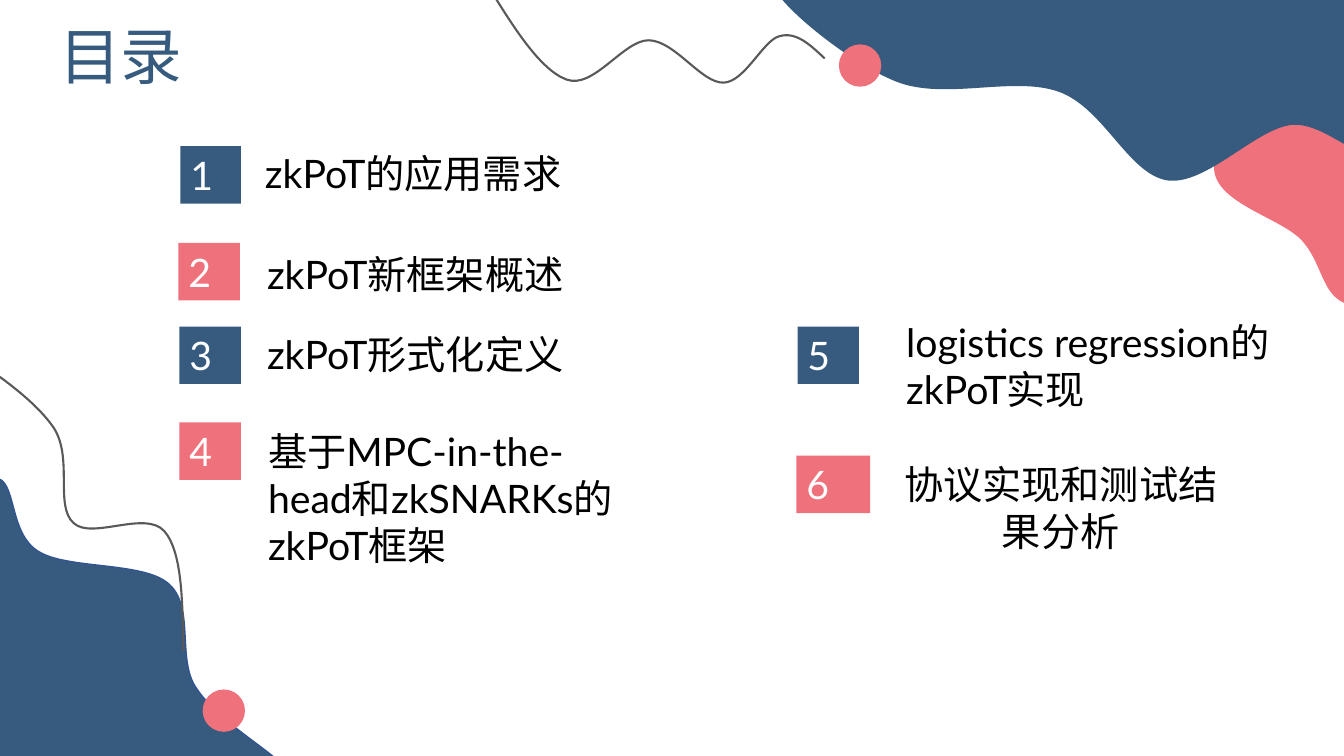
from math import cos, radians, sin

from lxml import etree
from pptx import Presentation
from pptx.dml.color import RGBColor
from pptx.enum.shapes import MSO_SHAPE
from pptx.enum.text import MSO_ANCHOR, PP_ALIGN
from pptx.oxml.ns import qn
from pptx.util import Cm, Pt

RECT, OVAL = MSO_SHAPE.RECTANGLE, MSO_SHAPE.OVAL
LEFT, MID, JUST = PP_ALIGN.LEFT, PP_ALIGN.CENTER, PP_ALIGN.JUSTIFY
TOP, CENTER = MSO_ANCHOR.TOP, MSO_ANCHOR.MIDDLE
FONT = "Lato"
UNIT = 2.54  # one layout unit in centimetres
STEPS = 40  # samples per curve when measuring its extent
DOT = 0.42
HUES = {"navy": "365B7E", "rose": "EE717B", "edge": "325491",
        "gray": "595959", "black": "000000", "white": "FFFFFF"}

# Each outline is a start point, then three points for each curve.
PINK = [(8.71, 0.41), (8.28, 0.41), (8.01, 1.36), (8.04, 1.69),
        (8.07, 2.02), (8.68, 2.16), (8.9, 2.38),
        (9.11, 2.6), (9.1, 2.91), (9.33, 3.01),
        (9.56, 3.11), (10.09, 3.22), (10.3, 3.01),
        (10.51, 2.79), (10.85, 2.16), (10.59, 1.72),
        (10.33, 1.29), (9.13, 0.42), (8.71, 0.41)]
WAVE = [(3.63, -0.23), (3.63, -0.01), (4.41, 0.62), (4.89, 0.81),
        (5.37, 1), (6.05, 0.75), (6.5, 0.91),
        (6.95, 1.07), (7.19, 1.73), (7.58, 1.79),
        (7.96, 1.84), (8.44, 1.29), (8.8, 1.24),
        (9.16, 1.2), (9.51, 1.68), (9.76, 1.5),
        (10, 1.32), (10.4, 0.55), (10.28, 0.19),
        (10.16, -0.17), (9.93, -0.54), (9.03, -0.66),
        (8.14, -0.77), (5.8, -0.57), (4.9, -0.5),
        (4, -0.43), (3.64, -0.45), (3.63, -0.23)]
CURL = [(0.81, -0.19), (1.08, 0.25), (1.35, 0.69), (1.62, 0.79),
        (1.89, 0.89), (2.19, 0.39), (2.44, 0.4),
        (2.7, 0.41), (2.96, 0.83), (3.18, 0.82),
        (3.39, 0.81), (3.57, 0.4), (3.73, 0.36),
        (3.9, 0.31), (4.04, 0.45), (4.18, 0.58)]
HILL = [(-0.69, 2.06), (-0.57, 2), (-0.19, 1.68), (-0.01, 1.75),
        (0.16, 1.82), (0.1, 2.3), (0.38, 2.47),
        (0.66, 2.65), (1.42, 2.57), (1.67, 2.79),
        (1.93, 3.01), (1.76, 3.51), (1.93, 3.8),
        (2.1, 4.08), (2.48, 4.32), (2.69, 4.49),
        (2.9, 4.67), (3.49, 4.78), (3.19, 4.84),
        (2.89, 4.89), (1.54, 4.86), (0.89, 4.85),
        (0.23, 4.84), (-0.48, 5.24), (-0.75, 4.78),
        (-1.02, 4.33), (-0.74, 2.56), (-0.73, 2.1),
        (-0.72, 1.65), (-0.81, 2.12), (-0.69, 2.06)]
TRAIL = [(-0.52, 0.39), (-0.1, 0.66), (0.32, 0.94), (0.53, 1.24),
         (0.73, 1.54), (0.54, 2.02), (0.73, 2.19),
         (0.91, 2.36), (1.44, 2.06), (1.63, 2.27),
         (1.81, 2.48), (1.81, 2.97), (1.82, 3.46)]

# number, badge (left, top, width), text (left, top, width, height), words, aligns
ITEMS = [
    ("1", (1.79, 1.45, 0.6), (2.53, 1.43, 3.44, 0.57),
     "zkPoT的应用需求", LEFT, LEFT),
    ("2", (1.77, 2.41, 0.61), (2.55, 2.43, 3.42, 1.04),
     "zkPoT新框架概述", LEFT, LEFT),
    ("3", (1.78, 3.24, 0.61), (2.55, 3.23, 3.49, 1.04),
     "zkPoT形式化定义", LEFT, LEFT),
    ("4", (1.78, 4.19, 0.61), (2.56, 4.19, 3.72, 1.98),
     "基于MPC-in-the-head和zkSNARKs的zkPoT框架", LEFT, LEFT),
    ("5", (7.91, 3.24, 0.61), (8.89, 3.11, 4.34, 1.27),
     "logistics regression的zkPoT实现", JUST, LEFT),
    ("6", (7.9, 4.52, 0.73), (8.73, 4.52, 3.58, 1.04),
     "协议实现和测试结果分析", JUST, MID),
]


def size(*units):
    return [Cm(n * UNIT) for n in units]


def hue(name):
    return RGBColor.from_string(HUES[name])


def paint(shape, fill=None, line=None, width=1):
    shape.shadow.inherit = False
    if fill:
        shape.fill.solid()
        shape.fill.fore_color.rgb = hue(fill)
    else:
        shape.fill.background()
    if line:
        shape.line.color.rgb = hue(line)
        shape.line.width = Pt(width)
    else:
        shape.line.fill.background()


def extent(nodes):
    """Return left, top, width, height of the curves, without their handles."""
    points = []
    for i in range(0, len(nodes) - 1, 3):
        for step in range(STEPS + 1):
            t = step / STEPS
            mix = ((1 - t) ** 3, 3 * t * (1 - t) ** 2,
                   3 * t * t * (1 - t), t ** 3)
            points.append([sum(m * p[k] for m, p in zip(mix, nodes[i:i + 4]))
                           for k in (0, 1)])
    xs, ys = zip(*points)
    return min(xs), min(ys), max(xs) - min(xs), max(ys) - min(ys)


def turn(points, hub, angle):
    c, s = cos(radians(angle)), sin(radians(angle))
    return [(hub[0] + (x - hub[0]) * c - (y - hub[1]) * s,
             hub[1] + (x - hub[0]) * s + (y - hub[1]) * c)
            for x, y in points]


def bend(shape, nodes):
    """Turn the straight outline of a shape into curves, three nodes each."""
    left, top, wide, high = extent(nodes)
    shape.left, shape.top, shape.width, shape.height = size(
        left, top, wide, high)
    track = next(shape.element.iter(qn("a:path")))
    track.set("w", str(shape.width))
    track.set("h", str(shape.height))
    for spot, (x, y) in zip(track.iter(qn("a:pt")), nodes):
        across, down = size(x - left, y - top)
        spot.set("x", str(across))
        spot.set("y", str(down))
    lines = track.findall(qn("a:lnTo"))
    for i in range(0, len(lines), 3):
        arc = etree.Element(qn("a:cubicBezTo"))
        lines[i].addprevious(arc)
        for line in lines[i:i + 3]:
            arc.append(line[0])
            track.remove(line)


def curve(slide, box, nodes, hub=(0, 0), angle=0, **style):
    """Draw an outline in the box; a tilted one gets its angle as rotation."""
    spots = [(box[0] + x, box[1] + y) for x, y in turn(nodes, hub, -angle)]
    pen = slide.shapes.build_freeform(*size(*spots[0]))
    pen.add_line_segments([size(*spot) for spot in spots[1:]],
                          close=nodes[0] == nodes[-1])
    shape = pen.convert_to_shape()
    bend(shape, spots)
    shape.rotation = angle
    paint(shape, **style)


def dot(slide, box, x, y):
    place = size(box[0] + x, box[1] + y, DOT, DOT)
    paint(slide.shapes.add_shape(OVAL, *place), "rose")


def crest(slide, box):
    """Top right decoration."""
    curve(slide, box, PINK, (9.34, 1.84), 300.2, fill="rose")
    curve(slide, box, WAVE, fill="navy")
    dot(slide, box, 4.32, 0.44)
    curve(slide, box, CURL, line="gray", width=1.5)


def foot(slide, box):
    """Bottom left decoration."""
    curve(slide, box, HILL, fill="navy", line="edge")
    dot(slide, box, 2.01, 3.84)
    curve(slide, box, TRAIL, (0.69, 1.92), 351.9, line="gray", width=1.5)


def write(shape, words, color, points=28, align=LEFT, anchor=TOP):
    frame = shape.text_frame
    frame.word_wrap = True
    frame.vertical_anchor = anchor
    para = frame.paragraphs[0]
    para.text, para.alignment = words, align
    para.font.name, para.font.size = FONT, Pt(points)
    para.font.color.rgb = hue(color)


def title(slide, box):
    write(slide.shapes.add_textbox(*size(*box)), "目录", "navy", 44, MID)


def entry(slide, item):
    """A numbered badge with its words."""
    mark, badge, box, words, lean, align = item
    write(slide.shapes.add_textbox(*size(*box)), words, "black", align=align)
    tile = slide.shapes.add_shape(RECT, *size(*badge, 0.57))
    paint(tile, "navy" if int(mark) % 2 else "rose")
    write(tile, mark, "white", align=lean, anchor=CENTER)


def main():
    deck = Presentation()
    deck.slide_width, deck.slide_height = size(13.33, 7.5)
    slide = deck.slides.add_slide(deck.slide_layouts[6])
    crest(slide, (4, 0))
    foot(slide, (0, 3))
    title(slide, (0.44, 0.13, 1.52, 0.84))
    for item in ITEMS:
        entry(slide, item)
    deck.save("out.pptx")


if __name__ == "__main__":
    main()
